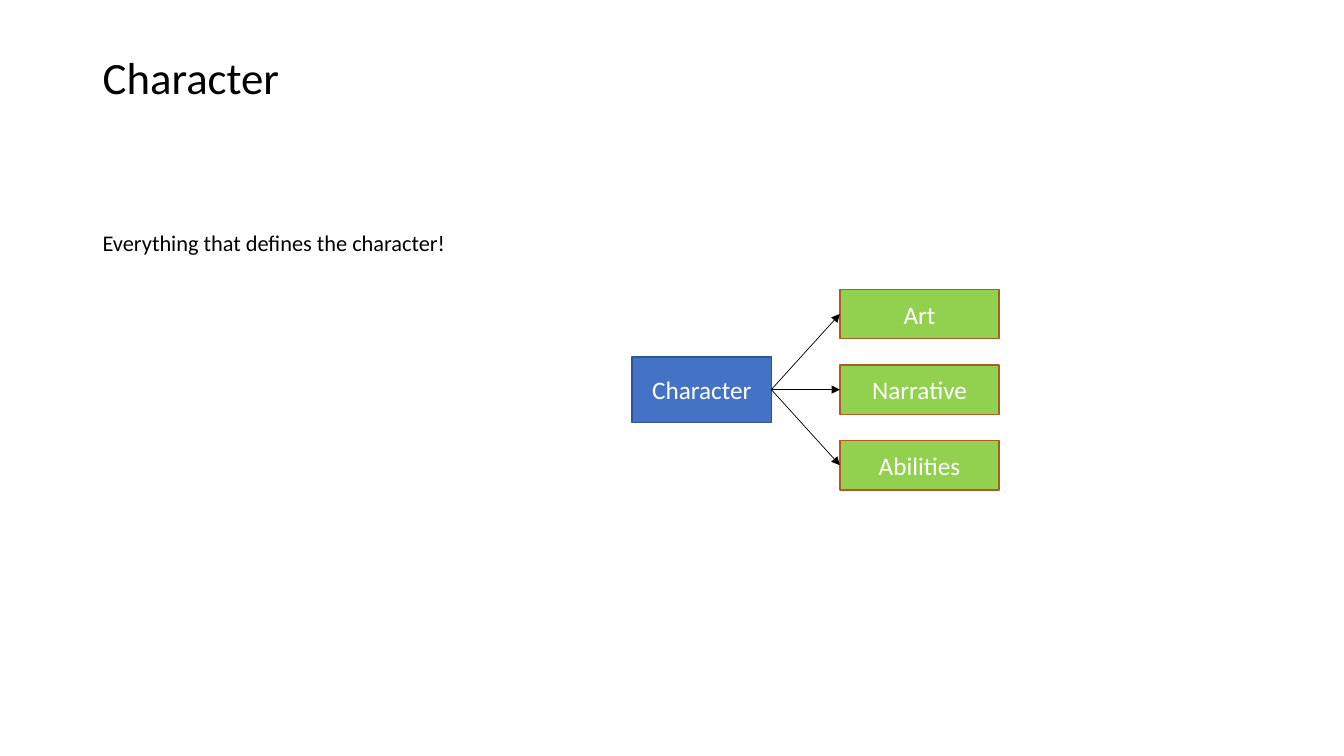
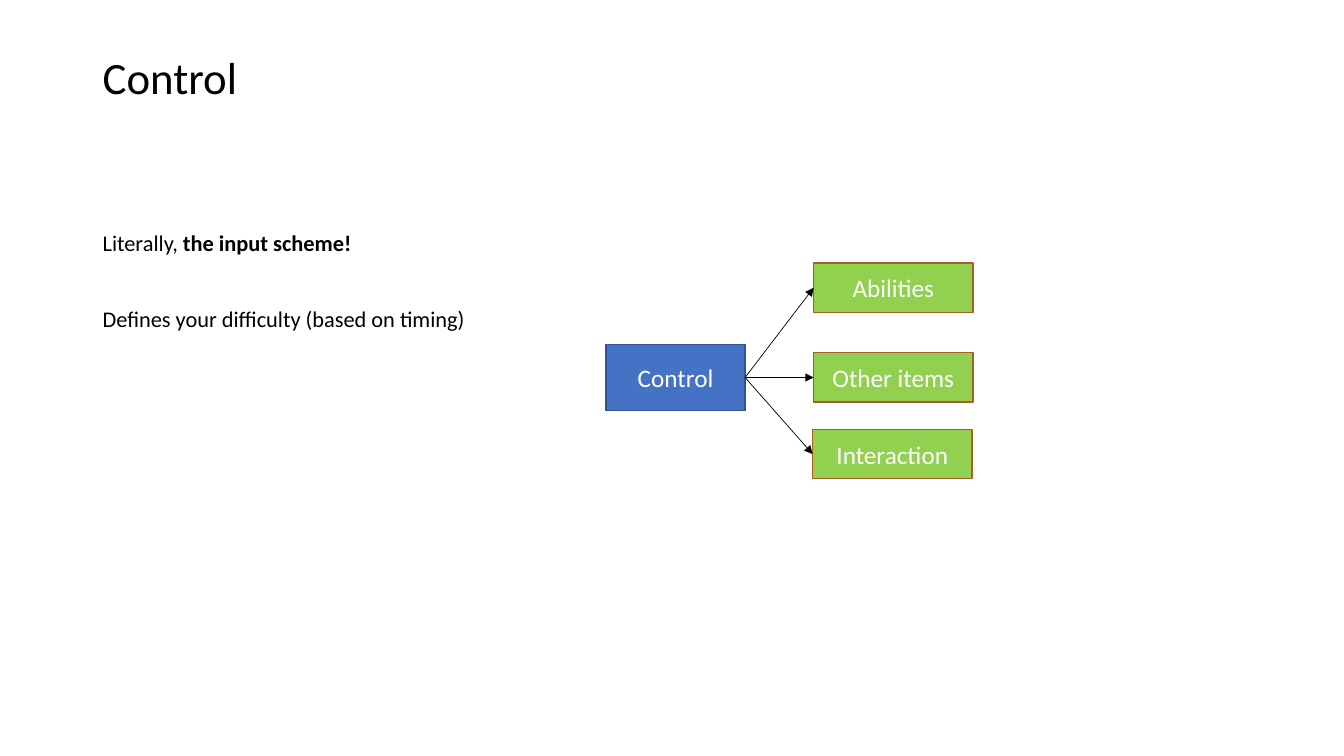
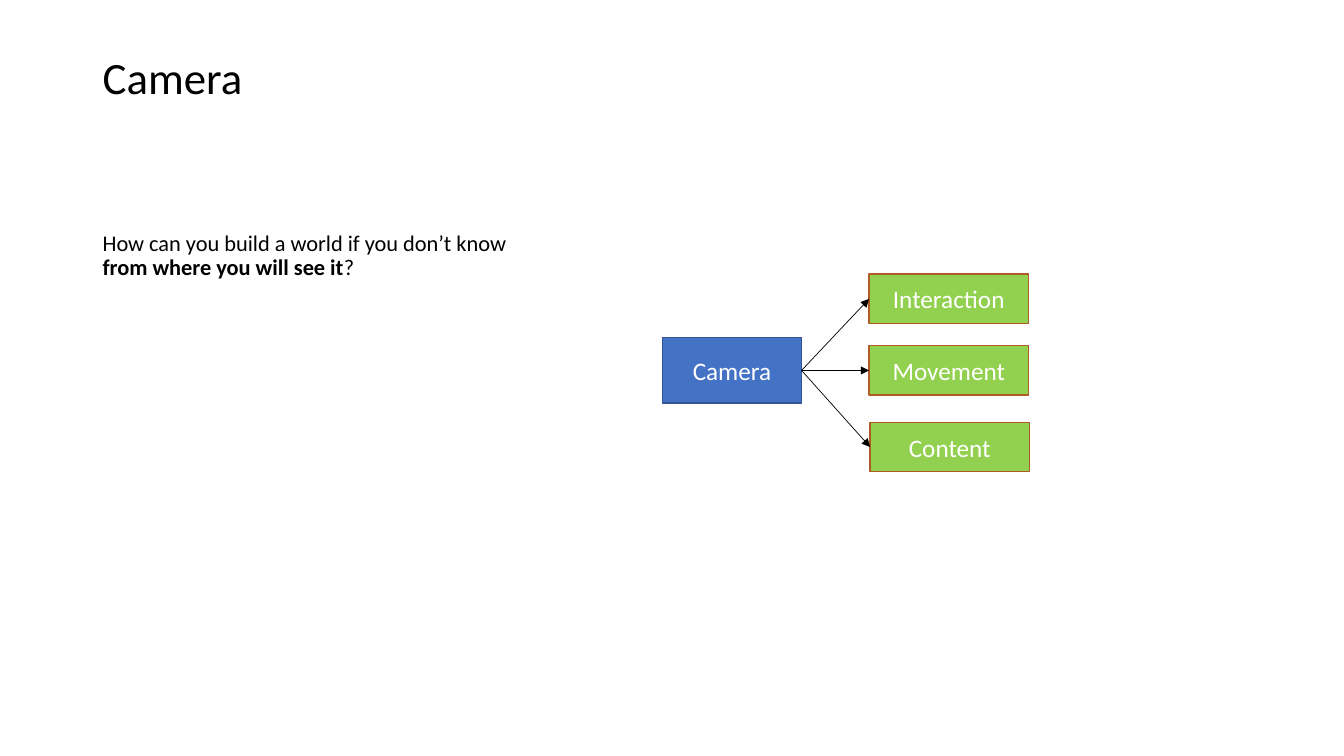
from pptx import Presentation
from pptx.dml.color import RGBColor
from pptx.enum.shapes import MSO_CONNECTOR, MSO_SHAPE
from pptx.enum.text import MSO_ANCHOR, PP_ALIGN
from pptx.oxml.ns import qn
from pptx.util import Pt
from lxml.etree import SubElement

PX = 9144  # EMU per px, 100 px to the inch
FONT = "Calibri"
COLORS = {
    "ink": "000000", "paper": "FFFFFF",
    "hub": "4472C4", "hub line": "325491",
    "leaf": "92D050", "leaf line": "AF5C24",
}
HUB = (138, 65)
LEAF = (158, 49)
RIGHT, LEFT = 3, 1  # connection sites of a rectangle


def color(name):
    return RGBColor.from_string(COLORS[name])


class Deck:
    def __init__(self):
        self.prs = Presentation()
        self.prs.slide_width = 1333 * PX
        self.prs.slide_height = 750 * PX
        self.slide = None

    def style(self, par, size, ink="ink"):
        par.font.name = FONT
        par.font.size = Pt(size)
        par.font.color.rgb = color(ink)

    def text(self, y, h, size, pars, gap=0):
        """Each paragraph is a list of (text, bold) runs."""
        box = self.slide.shapes.add_textbox(92 * PX, y * PX, 430 * PX, h * PX)
        frame = box.text_frame
        frame.word_wrap = True
        for i, runs in enumerate(pars):
            par = frame.add_paragraph() if i else frame.paragraphs[0]
            par.line_spacing = 0.9
            par.space_before = Pt(gap if i else 0)
            self.style(par, size)
            for words, bold in runs:
                run = par.add_run()
                run.text = words
                if bold:
                    run.font.bold = True

    def page(self, title, pars):
        self.slide = self.prs.slides.add_slide(self.prs.slide_layouts[6])
        self.text(50, 175, 32, [[(title, False)]])
        self.text(225, 417, 16, pars, gap=37)

    def box(self, x, y, size, kind, label):
        w, h = size
        box = self.slide.shapes.add_shape(
            MSO_SHAPE.RECTANGLE, x * PX, y * PX, w * PX, h * PX)
        box.shadow.inherit = False
        box.fill.solid()
        box.fill.fore_color.rgb = color(kind)
        box.line.color.rgb = color(kind + " line")
        box.line.width = Pt(1)
        frame = box.text_frame
        frame.vertical_anchor = MSO_ANCHOR.MIDDLE
        par = frame.paragraphs[0]
        par.text = label
        par.alignment = PP_ALIGN.CENTER
        self.style(par, 18, "paper")
        return box

    def arrow(self, start, end):
        line = self.slide.shapes.add_connector(MSO_CONNECTOR.STRAIGHT, 0, 0, 0, 0)
        line.begin_connect(start, RIGHT)
        line.end_connect(end, LEFT)
        line.line.color.rgb = color("ink")
        line.line.width = Pt(0.5)
        SubElement(line.line._get_or_add_ln(), qn("a:tailEnd"), type="triangle")
        SubElement(line._element.spPr, qn("a:effectLst"))

    def tree(self, label, x, leaves):
        # The hub is centred on the middle leaf
        mid = leaves[1][2]
        hub = self.box(x, mid - (HUB[1] - LEAF[1]) // 2, HUB, "hub", label)
        for name, left, top in leaves:
            self.arrow(hub, self.box(left, top, LEAF, "leaf", name))


# Title, body paragraphs, hub x, leaves (label, x, y)
PAGES = [
    ("Character",
     [[("Everything that defines the character!", False)]],
     627, [("Art", 833, 287), ("Narrative", 833, 362), ("Abilities", 833, 437)]),
    ("Control",
     [[("Literally, ", False), ("the input scheme!", True)],
      [("Defines your difficulty (based on timing)", False)]],
     601, [("Abilities", 807, 261), ("Other items", 807, 350),
           ("Interaction", 806, 426)]),
    ("Camera",
     [[("How can you build a world if you don’t know ", False),
       ("from where you will see it", True), ("?", False)]],
     657, [("Interaction", 862, 272), ("Movement", 862, 343),
           ("Content", 863, 419)]),
]


def main():
    deck = Deck()
    for title, pars, x, leaves in PAGES:
        deck.page(title, pars)
        deck.tree(title, x, leaves)
    deck.prs.save("out.pptx")


if __name__ == "__main__":
    main()
